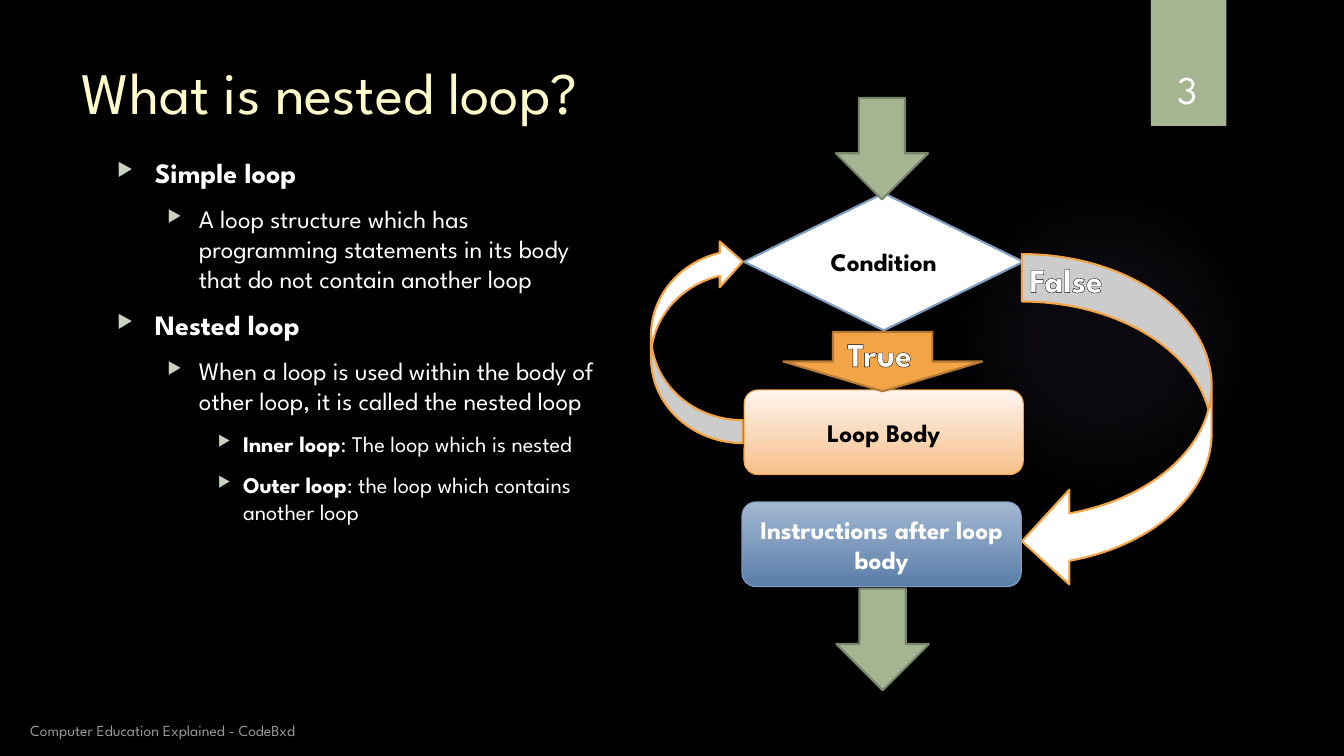
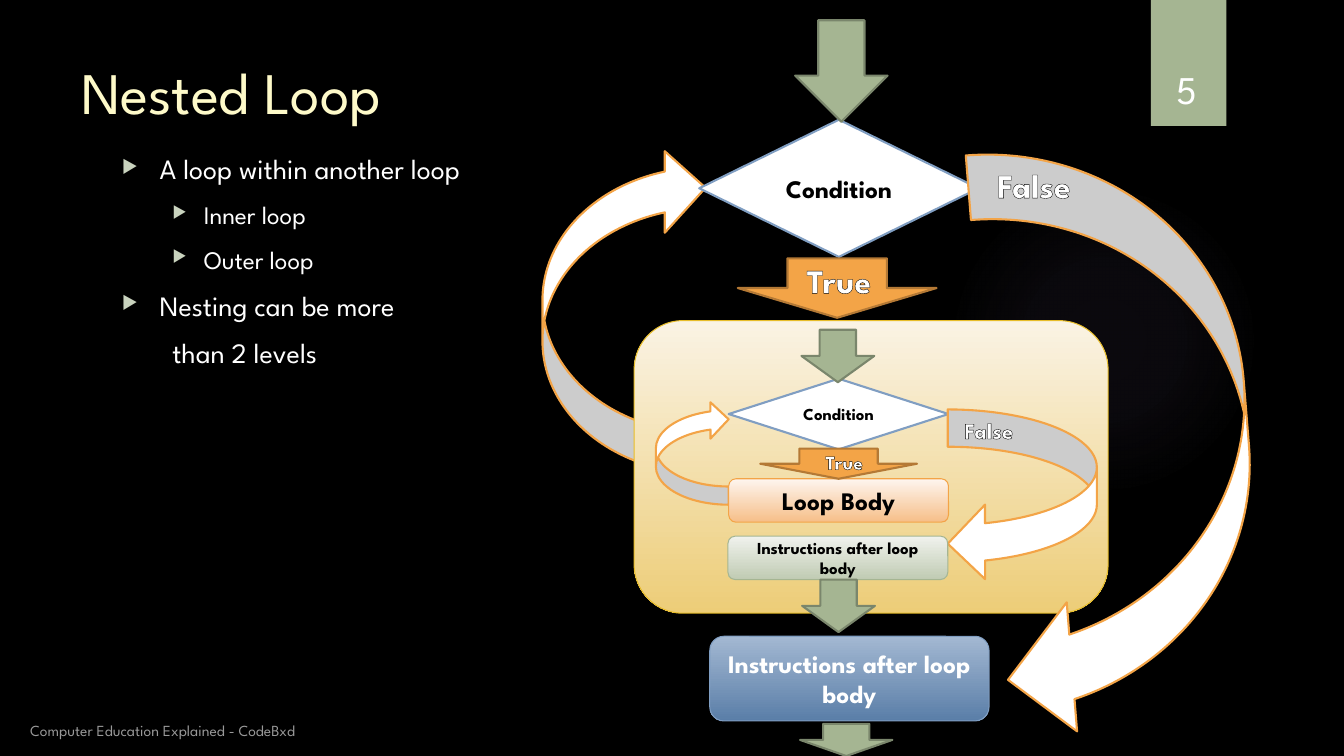
from lxml.etree import SubElement as Sub
from pptx import Presentation
from pptx.dml.color import RGBColor
from pptx.enum.shapes import MSO_SHAPE as Kind
from pptx.enum.text import MSO_ANCHOR as Anchor, PP_ALIGN as Align
from pptx.oxml import parse_xml
from pptx.oxml.ns import nsdecls, qn
from pptx.util import Pt

hue = RGBColor.from_string
FONT = "League Spartan"
WHITE, BLACK, CREAM, SAGE = "FFFFFF", "000000", "FEFAC9", "A5B592"
ORANGE, BLUE, PALE = "F3A447", "809EC2", "C9D3BE"

LOOKS = {
    "back": (Kind.CURVED_RIGHT_ARROW, [WHITE], ORANGE, 1.5, WHITE),
    "test": (Kind.DIAMOND, [WHITE], BLUE, 1.5, BLACK),
    "down": (Kind.DOWN_ARROW, [SAGE], "7A866C", 1.5, WHITE),
    "frame": (Kind.ROUNDED_RECTANGLE, ["FAF3E4", "EDCD78"], "E7BC29", 0.75, BLACK),
    "body": (Kind.ROUNDED_RECTANGLE, ["FEF5EF", "F6BF89"], ORANGE, 0.75, BLACK),
    "yes": (Kind.DOWN_ARROW, [ORANGE], "B47935", 1.5, WHITE),
    "no": (Kind.CURVED_RIGHT_ARROW, [WHITE], ORANGE, 1.5, WHITE),
    "after": (Kind.ROUNDED_RECTANGLE, ["A3B8D2", "5A7EA8"], BLUE, 0.75, WHITE),
    "next": (Kind.ROUNDED_RECTANGLE, ["F0F2ED", "C0CBB3"], SAGE, 0.75, BLACK),
    "tag": (Kind.RECTANGLE, [SAGE], None, 0, WHITE),
    "glow": (Kind.OVAL, ["9C85C0"], None, 0, WHITE),
}
FLIPS = {"back": "flipV", "no": "flipH"}
INSIDE = {
    "word_wrap": True, "vertical_anchor": Anchor.MIDDLE,
    "margin_left": Pt(9), "margin_right": Pt(9),
    "margin_top": Pt(0), "margin_bottom": Pt(0),
}
LEVELS = [(20, 27, 27), (18, 58.5, 22.5), (16, 90, 18)]
AFTER = "Instructions after loop body"

SIMPLE = [
    ("back", (465, 170.5, 65.5, 146), "", 0),
    ("test", (531.5, 138, 199.5, 98), "Condition", 18),
    ("down", (597, 70, 66, 72.5), "", 0),
    ("body", (531.5, 278.5, 199.5, 60.5), "Loop Body", 18),
    ("yes", (559.5, 237, 142, 42.5), "", 0),
    ("no", (730, 181.5, 135.5, 239), "", 0),
    ("after", (530, 358.5, 199.5, 60.5), AFTER, 18),
    ("down", (597.5, 420.5, 66, 72.5), "", 0),
    ("label", (724.5, 181.5, 74, 36), "False", 24),
    ("label", (597, 234.5, 62.5, 36), "True", 24),
]
OUTER = [
    ("back", (387.5, 105, 116.5, 233.5), "", 0),
    ("test", (499.5, 85.5, 199.5, 98), "Condition", 18),
    ("down", (568, 14.5, 66, 72.5), "", 0),
    ("frame", (453, 229, 338.5, 209), "", 0),
    ("yes", (527, 184.5, 142, 42.5), "", 0),
    ("no", (706.5, 103, 185, 422), "", 0, 355.4),
    ("after", (507, 454.5, 199.5, 60.5), AFTER, 18),
    ("down", (571.5, 517, 66, 23), "", 0),
    ("label", (701.5, 114, 74, 36), "False", 24),
    ("label", (568, 182, 62.5, 36), "True", 24),
]
INNER = [
    ("back", (468.5, 286.5, 52, 74), "", 0),
    ("test", (520.5, 270.5, 157, 50.5), "Condition", 12),
    ("down", (572.5, 235.5, 52, 37.5), "", 0),
    ("body", (520.5, 342, 157, 31), "Loop Body", 18),
    ("yes", (543, 320.5, 112, 21.5), "", 0),
    ("no", (677, 292.5, 106.5, 122.5), "", 0),
    ("next", (520, 383, 157, 31), AFTER, 12),
    ("down", (573, 414, 52, 37.5), "", 0),
    ("label", (677.5, 294, 57.5, 26.5), "False", 16),
    ("label", (579, 318, 48, 24.5), "True", 14),
]
PAGES = [
    ("3", "What is nested loop?", (76.5, 107.5, 355.5, 386), [
        (0, [("Simple loop", True)]),
        (1, [("A loop structure which has programming statements in its body "
              "that do not contain another loop", False)]),
        (0, [("Nested loop", True)]),
        (1, [("When a loop is used within the body of other loop, "
              "it is called the nested loop", False)]),
        (2, [("Inner loop", True), (": The loop which is nested", False)]),
        (2, [("Outer loop", True), (": the loop which contains another loop", False)]),
    ], [SIMPLE]),
    ("5", "Nested Loop", (80, 105, 704, 330.5), [
        (0, [("A loop within another loop", False)]),
        (1, [("Inner loop", False)]),
        (1, [("Outer loop", False)]),
        (0, [("Nesting can be more", False)]),
        (None, [("than 2 levels", False)]),
    ], [OUTER, INNER]),
]


def write(para, text, size, tone=WHITE, bold=False):
    run = para.add_run()
    run.text = text
    look = {"name": FONT, "size": Pt(size), "bold": bold}
    for key, value in look.items():
        setattr(run.font, key, value)
    run.font.color.rgb = hue(tone)
    return run


def draw(shapes, role, at, turn=0):
    kind, fills, edge, width, tone = LOOKS[role]
    shape = shapes.add_shape(kind, *map(Pt, at))
    shape.shadow.inherit = False
    shape.rotation = turn
    if len(fills) == 1:
        shape.fill.solid()
        shape.fill.fore_color.rgb = hue(fills[0])
    else:
        shape.fill.gradient()
        shape.fill.gradient_angle = 270
        for stop, fill in zip(shape.fill.gradient_stops, fills):
            stop.color.rgb = hue(fill)
    if edge:
        shape.line.color.rgb = hue(edge)
        shape.line.width = Pt(width)
    else:
        shape.line.fill.background()
    if role in FLIPS:
        shape._element.spPr.xfrm.set(FLIPS[role], "1")
    return shape


deck = Presentation()
deck.slide_width, deck.slide_height = Pt(960), Pt(540)
ground = deck.slide_master.background.fill
ground.solid()
ground.fore_color.rgb = hue(BLACK)

for number, title, place, points, flows in PAGES:
    slide = deck.slides.add_slide(deck.slide_layouts[6])

    glow = draw(slide.shapes, "glow", (677.5, 132, 222, 222))
    stops = "".join(
        f'<a:gs pos="{pos}000"><a:srgbClr val="9C85C0">'
        f'<a:alpha val="{alpha}000"/></a:srgbClr></a:gs>'
        for pos, alpha in [(0, 7), (36, 6), (69, 0)])
    blend = parse_xml(
        f'<a:gradFill {nsdecls("a")}><a:gsLst>{stops}</a:gsLst><a:path path="circle">'
        '<a:fillToRect l="50000" t="50000" r="50000" b="50000"/></a:path></a:gradFill>')
    solid = glow._element.spPr.find(qn("a:solidFill"))
    solid.getparent().replace(solid, blend)
    draw(slide.shapes, "tag", (822, 0, 54, 90))

    for text, at, size, tone, align, anchor in [
        (title, (51, 36, 741, 110), 42, CREAM, Align.LEFT, Anchor.TOP),
        ("Computer Education Explained - CodeBxd", (14.5, 507.5, 304, 24), 11,
         WHITE, Align.LEFT, Anchor.BOTTOM),
        (number, (815, 23, 66, 60.5), 28, WHITE, Align.CENTER, Anchor.BOTTOM),
    ]:
        frame = slide.shapes.add_textbox(*map(Pt, at)).text_frame
        frame.word_wrap, frame.vertical_anchor = True, anchor
        frame.paragraphs[0].alignment = align
        run = write(frame.paragraphs[0], text, size, tone)
        if size == 11:
            Sub(run._r.rPr.find(".//" + qn("a:srgbClr")), qn("a:alpha"), val="60000")

    frame = slide.shapes.add_textbox(*map(Pt, place)).text_frame
    frame.word_wrap = True
    for row, (level, runs) in enumerate(points):
        para = frame.add_paragraph() if row else frame.paragraphs[0]
        para.space_before = Pt(10)
        size, left, hang = (20, 36, 0) if level is None else LEVELS[level]
        props = para._p.get_or_add_pPr()
        props.set("marL", str(Pt(left)))
        props.set("indent", str(-Pt(hang)))
        if level is not None:
            para.level = level
            Sub(Sub(props, qn("a:buClr")), qn("a:srgbClr"), val=PALE)
            Sub(props, qn("a:buSzPct"), val="65000")
            Sub(props, qn("a:buChar"), char="▶")
        for text, bold in runs:
            write(para, text, size, WHITE, bold)

    for flow in flows:
        group = slide.shapes.add_group_shape()
        for role, at, text, size, *turn in flow:
            if role == "label":
                frame = group.shapes.add_textbox(*map(Pt, at)).text_frame
                frame.word_wrap = False
                run = write(frame.paragraphs[0], text, size, WHITE, True)
                edge = parse_xml(
                    f'<a:ln {nsdecls("a")} w="{Pt(1.06)}"><a:solidFill>'
                    f'<a:srgbClr val="{BLACK}"/></a:solidFill></a:ln>')
                run._r.rPr.insert(0, edge)
            else:
                frame = draw(group.shapes, role, at, *turn).text_frame
                for key, value in INSIDE.items():
                    setattr(frame, key, value)
                if text:
                    write(frame.paragraphs[0], text, size, LOOKS[role][4], True)
            frame.paragraphs[0].alignment = Align.CENTER

deck.save("out.pptx")
